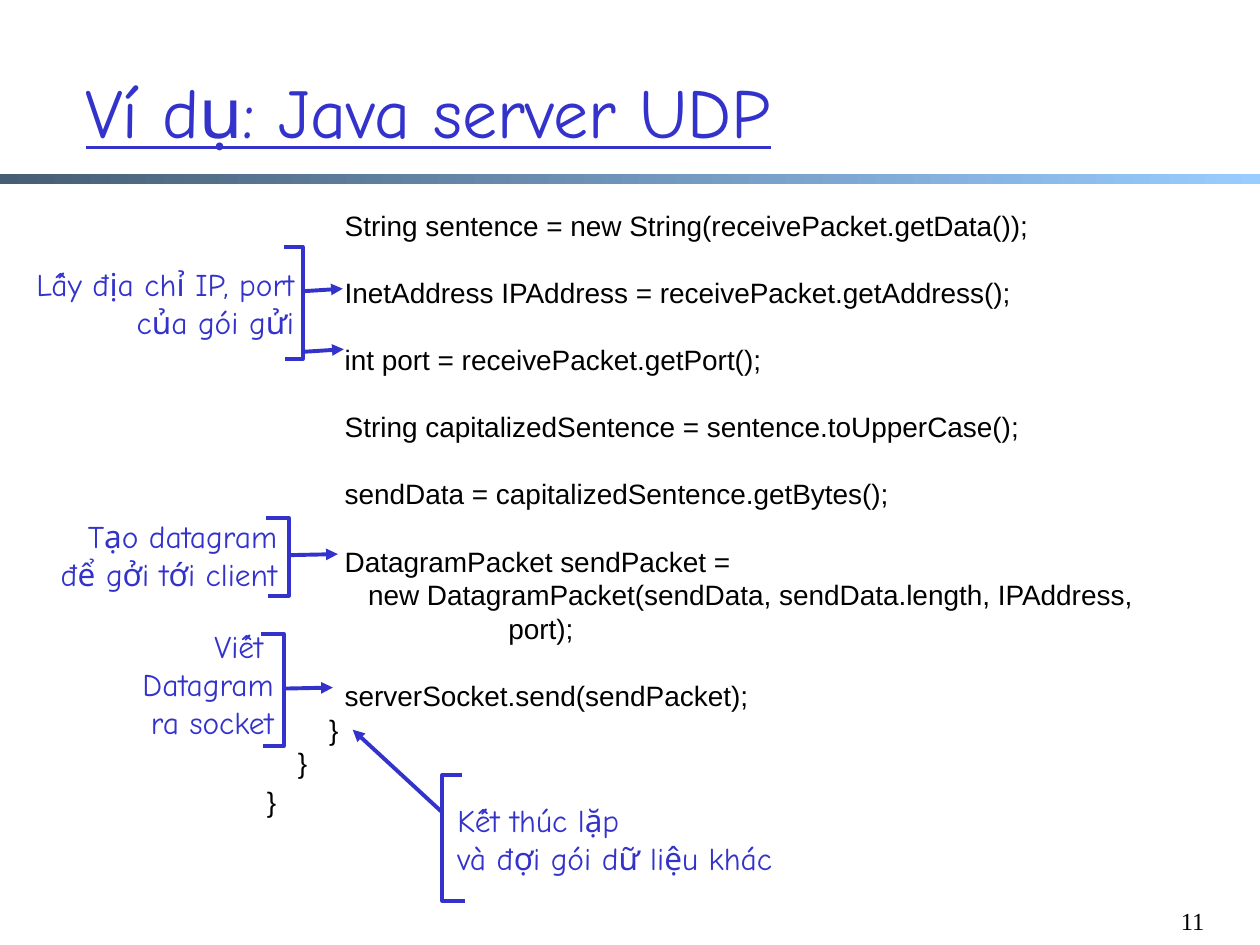
from dataclasses import dataclass

import pptx
import pptx.dml.color
import pptx.enum.shapes
import pptx.enum.text
import pptx.oxml.ns
import pptx.util
from lxml import etree

Cm = pptx.util.Cm
Pt = pptx.util.Pt
Align = pptx.enum.text.PP_ALIGN
Anchor = pptx.enum.text.MSO_ANCHOR
qn = pptx.oxml.ns.qn

COLORS = {"accent": "3333CC", "text": "000000", "bar_dark": "465E75", "bar_light": "99CCFF"}
LABEL_FONT = "Comic Neue"
INDENT_STEP = 0.157  # width of one code column, in cm
CODE_PITCH = 19.2  # height of one code line, in points


@dataclass(frozen=True)
class CodeLine:
    text: str
    columns: int
    gap: float = 0  # in lines


@dataclass(frozen=True)
class Bracket:
    spine: float
    top_tip: float
    bottom_tip: float
    top: float
    bottom: float


@dataclass(frozen=True)
class Callout:
    lines: tuple[str, ...]
    box: tuple[float, float, float, float]
    bracket: Bracket
    arrows: tuple[tuple[float, float, float, float], ...]
    align: Align = Align.RIGHT
    wrap: bool = False


CODE = [
    CodeLine("String sentence = new String(receivePacket.getData());", 10),
    CodeLine("InetAddress IPAddress = receivePacket.getAddress();", 10, 1),
    CodeLine("int port = receivePacket.getPort();", 10, 1),
    CodeLine("String capitalizedSentence = sentence.toUpperCase();", 10, 1),
    CodeLine("sendData = capitalizedSentence.getBytes();", 10, 1),
    CodeLine("DatagramPacket sendPacket =", 10, 1),
    CodeLine("new DatagramPacket(sendData, sendData.length, IPAddress,", 13),
    CodeLine("port);", 31),
    CodeLine("serverSocket.send(sendPacket);", 10, 1),
    CodeLine("}", 8),
    CodeLine("}", 4),
    CodeLine("}", 0, 0.15),
]

CALLOUTS = [
    Callout(("Lấy địa chỉ IP, port của gói gửi",), (0.36, 5.21, 5.82, 1.78),
            Bracket(6.1, 5.72, 5.74, 4.98, 7.24),
            ((6.12, 5.87, 6.91, 5.82), (6.15, 7.09, 6.93, 7.04)), wrap=True),
    Callout(("Tạo datagram", "để gởi tới client"), (0.53, 10.29, 5.31, 1.78),
            Bracket(5.82, 5.36, 5.41, 10.44, 12.01), ((5.87, 11.19, 6.81, 11.17),)),
    Callout(("Viết ", "Datagram", "ra socket"), (2.39, 12.52, 3.38, 2.54),
            Bracket(5.72, 5.26, 5.31, 12.78, 15.04), ((5.77, 13.88, 6.71, 13.86),)),
    Callout(("Kết thúc lặp", "và đợi gói dữ liệu khác"), (8.97, 16.03, 7.11, 1.78),
            Bracket(8.92, 9.32, 9.37, 15.62, 18.16), ((8.92, 16.38, 7.11, 14.71),), Align.LEFT),
]


def rgb(name: str) -> pptx.dml.color.RGBColor:
    return pptx.dml.color.RGBColor.from_string(COLORS[name])


def style(font, size: float, family: str, color: str) -> None:
    font.size = Pt(size)
    font.name = family
    font.color.rgb = rgb(color)


def add_frame(slide, box: tuple[float, float, float, float], anchor: Anchor, wrap: bool = True):
    frame = slide.shapes.add_textbox(*map(Cm, box)).text_frame
    frame.word_wrap = wrap
    frame.vertical_anchor = anchor
    return frame


def style_line(line) -> None:
    line.color.rgb = rgb("accent")
    line.width = Pt(2.25)


def draw_bracket(slide, bracket: Bracket) -> None:
    builder = slide.shapes.build_freeform(Cm(bracket.top_tip), Cm(bracket.top))
    corners = [(bracket.spine, bracket.top), (bracket.spine, bracket.bottom),
               (bracket.bottom_tip, bracket.bottom)]
    builder.add_line_segments([(Cm(x), Cm(y)) for x, y in corners], close=False)
    outline = builder.convert_to_shape()
    outline.shadow.inherit = False
    outline.fill.background()
    style_line(outline.line)


def draw_arrow(slide, ends: tuple[float, float, float, float]) -> None:
    arrow = slide.shapes.add_connector(pptx.enum.shapes.MSO_CONNECTOR.STRAIGHT, *map(Cm, ends))
    style_line(arrow.line)
    properties = arrow.element.spPr
    etree.SubElement(properties.find(qn("a:ln")), qn("a:tailEnd"), type="triangle")
    etree.SubElement(properties, qn("a:effectLst"))


def draw_callout(slide, callout: Callout) -> None:
    label = add_frame(slide, callout.box, Anchor.MIDDLE, callout.wrap)
    label.text = "\n".join(callout.lines)
    for paragraph in label.paragraphs:
        paragraph.alignment = callout.align
        style(paragraph.font, 18, LABEL_FONT, "accent")
    draw_bracket(slide, callout.bracket)
    for ends in callout.arrows:
        draw_arrow(slide, ends)


def draw_code(slide) -> None:
    listing = add_frame(slide, (5.38, 4.2, 18, 12.4), Anchor.TOP)
    listing.margin_left = listing.margin_top = listing.margin_right = listing.margin_bottom = 0
    listing.text = "\n".join(line.text for line in CODE)
    for paragraph, line in zip(listing.paragraphs, CODE):
        paragraph.line_spacing = Pt(CODE_PITCH)
        paragraph.space_before = Pt(line.gap * CODE_PITCH)
        style(paragraph.font, 16, "Arial", "text")
        indent = Cm(line.columns * INDENT_STEP)
        paragraph._p.get_or_add_pPr().set("marL", str(int(indent)))


def draw_header(slide) -> None:
    bar = slide.shapes.add_shape(pptx.enum.shapes.MSO_SHAPE.RECTANGLE,
                                 0, Cm(3.51), Cm(25.4), Cm(0.2))
    bar.shadow.inherit = False
    bar.line.fill.background()
    bar.fill.gradient()
    bar.fill.gradient_angle = 0
    for stop, position, color in zip(bar.fill.gradient_stops, (0, 1), ("bar_dark", "bar_light")):
        stop.position = position
        stop.color.rgb = rgb(color)

    title = slide.shapes.title
    title.left, title.top, title.width, title.height = map(Cm, (1.47, 0.64, 21.59, 3.18))
    title.text_frame.text = "Ví dụ: Java server UDP"
    title.text_frame.vertical_anchor = Anchor.MIDDLE
    heading = title.text_frame.paragraphs[0]
    heading.alignment = Align.LEFT
    style(heading.font, 40, LABEL_FONT, "accent")
    heading.font.underline = True


def draw_page_number(slide) -> None:
    page = add_frame(slide, (23.01, 18.14, 1.52, 0.91), Anchor.TOP)
    page.text = "11"
    page.paragraphs[0].alignment = Align.RIGHT
    style(page.paragraphs[0].font, 14, "Times New Roman", "text")


def main() -> None:
    deck = pptx.Presentation()
    deck.slide_width, deck.slide_height = Cm(25.4), Cm(19.05)
    slide = deck.slides.add_slide(deck.slide_layouts[5])  # title only
    draw_header(slide)
    draw_code(slide)
    for callout in CALLOUTS:
        draw_callout(slide, callout)
    draw_page_number(slide)
    deck.save("out.pptx")


if __name__ == "__main__":
    main()
